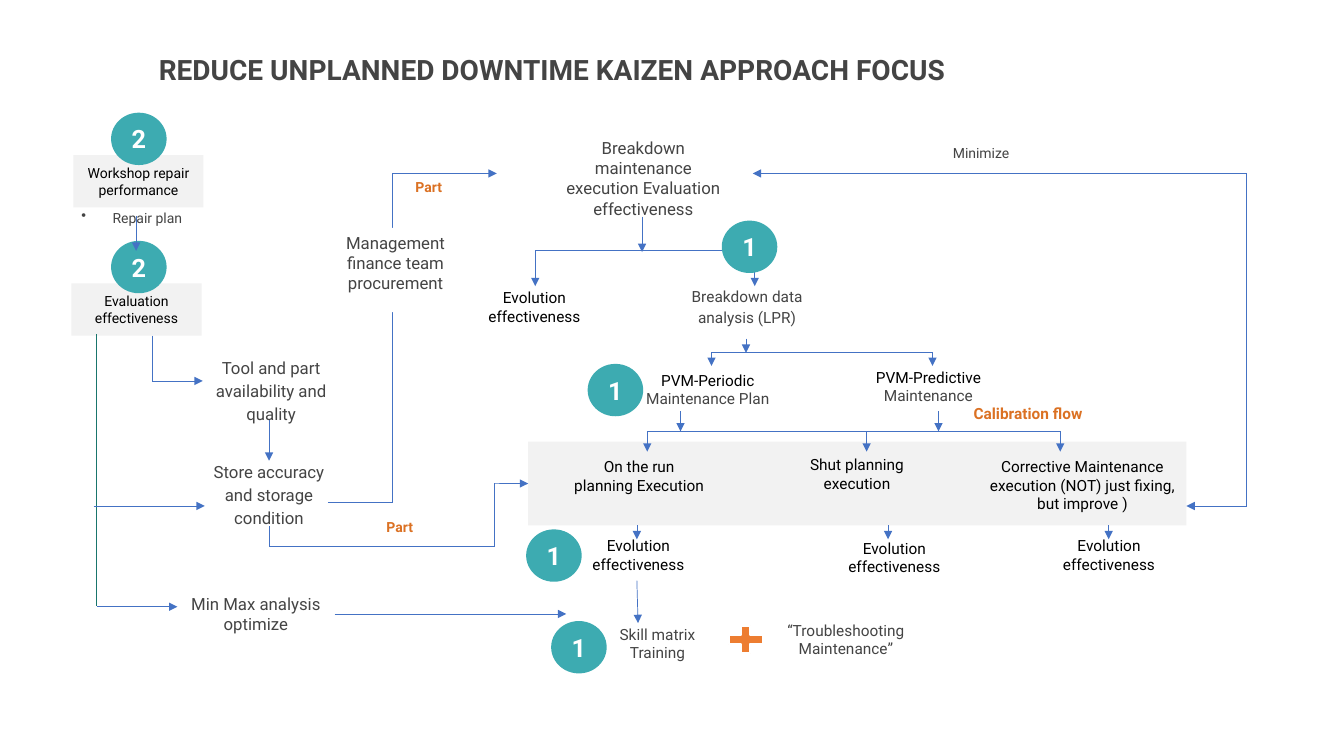
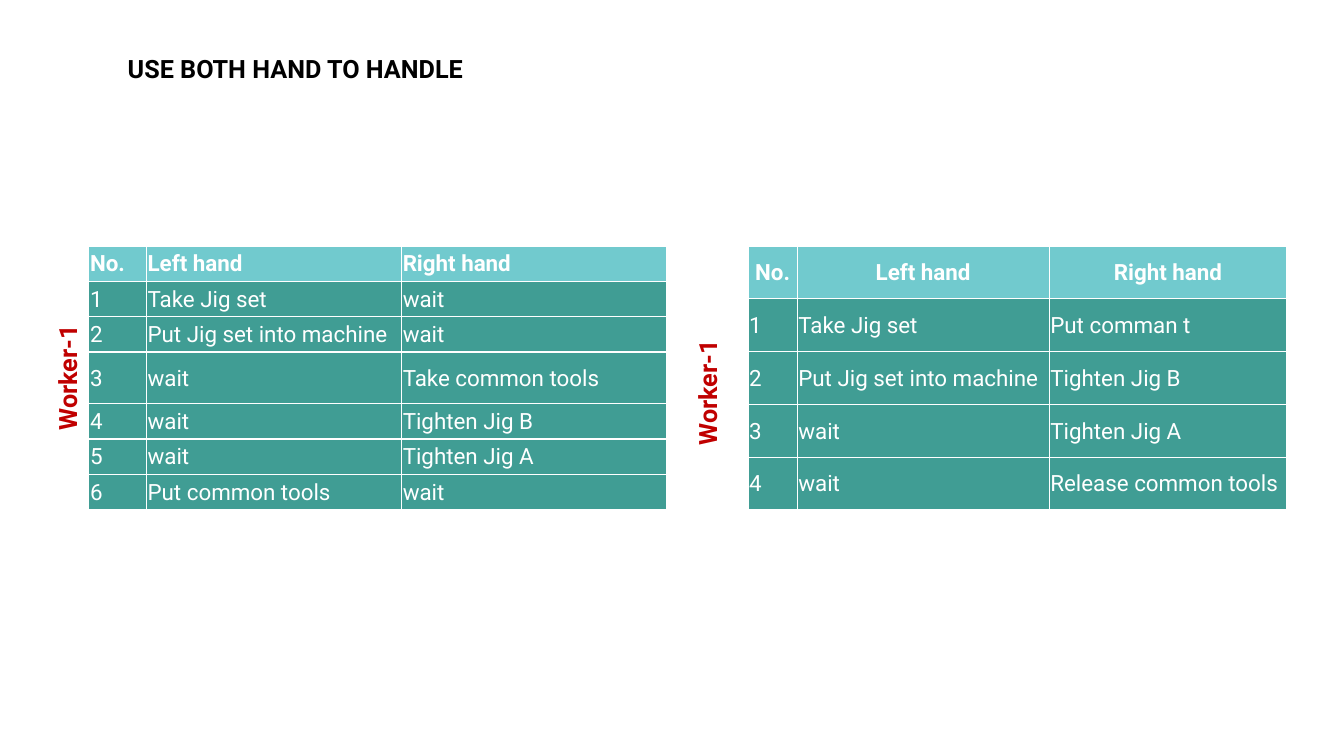
"""Builds two kaizen slides: a downtime flowchart and a two-hand work comparison."""
from lxml.etree import SubElement
from pptx import Presentation
from pptx.dml.color import RGBColor
from pptx.enum.shapes import MSO_CONNECTOR as Connector, MSO_SHAPE as Shape
from pptx.enum.text import MSO_ANCHOR as Anchor, MSO_AUTO_SIZE as AutoSize, PP_ALIGN as Align
from pptx.oxml.ns import qn
from pptx.util import Cm, Pt

FONT = "Roboto"
COLORS = {
    "black": "000000", "grey": "444444", "white": "FFFFFF", "panel": "F2F2F2",
    "badge": "3DABB1", "line": "4472C4", "teal": "19756C", "orange": "DB7123",
    "plus": "ED7D31", "header": "71CACE", "body": "409D94", "red": "C00000",
}


def color(name):
    return RGBColor.from_string(COLORS[name])


def place(box):
    return [Cm(value) for value in box]


def format_text(text_frame, size, colors, bold=False, align=Align.CENTER, spacing=None):
    for index, paragraph in enumerate(text_frame.paragraphs):
        paragraph.alignment = align
        if spacing:
            paragraph.line_spacing = spacing
        for run in paragraph.runs:
            run.font.name = FONT
            run.font.size = Pt(size)
            run.font.bold = bold
            run.font.color.rgb = color(colors[min(index, len(colors) - 1)])


def add_label(slide, text, box, size=11, colors=("black",), **style):
    label = slide.shapes.add_textbox(*place(box))
    label.text_frame.word_wrap = True
    label.text_frame.auto_size = AutoSize.SHAPE_TO_FIT_TEXT
    label.text_frame.text = text
    format_text(label.text_frame, size, colors, **style)
    return label


def add_title(slide, text, box, size, name, **style):
    return add_label(slide, text, box, size, (name,), bold=True, **style)


def add_block(slide, kind, box, fill, text="", size=10, name="black", bold=False):
    block = slide.shapes.add_shape(kind, *place(box))
    block.shadow.inherit = False
    block.fill.solid()
    block.fill.fore_color.rgb = color(fill)
    block.line.fill.background()
    block.text_frame.vertical_anchor = Anchor.MIDDLE
    block.text_frame.text = text
    format_text(block.text_frame, size, (name,), bold)
    return block


def add_badge(slide, number, left, top):
    add_block(slide, Shape.OVAL, (left, top, 1.4, 1.32), "badge", number, 18, "white", True)


def add_route(slide, *points, arrow=True, name="line"):
    for index, (start, end) in enumerate(zip(points, points[1:]), 2):
        connector = slide.shapes.add_connector(Connector.STRAIGHT, *place(start + end))
        connector.line.color.rgb = color(name)
        connector.line.width = Pt(0.5)
        properties = connector.element.spPr
        if arrow and index == len(points):
            SubElement(properties.find(qn("a:ln")), qn("a:tailEnd"), type="triangle")
        SubElement(properties, qn("a:effectLst"))
    return connector


def add_fork(slide, top, columns, tip):
    add_route(slide, (columns[0], top), (columns[-1], top), arrow=False)
    for column in columns:
        add_route(slide, (column, top), (column, tip))


def add_bullet(paragraph, indent):
    properties = paragraph._p.get_or_add_pPr()
    properties.set("marL", str(Cm(indent)))
    properties.set("indent", str(-Cm(indent)))
    SubElement(properties, qn("a:buChar"), char="•")


def add_borders(cell):
    properties = cell._tc.get_or_add_tcPr()
    for side in ("lnL", "lnR", "lnT", "lnB"):
        border = SubElement(properties, qn(f"a:{side}"), w=str(Pt(1)))
        fill = SubElement(border, qn("a:solidFill"))
        SubElement(fill, qn("a:srgbClr"), val=COLORS["white"])


def add_work_table(slide, left, widths, heights, rows, header_align):
    box = (left, 6.2, sum(widths), sum(heights))
    table = slide.shapes.add_table(len(rows), len(widths), *place(box)).table
    table.first_row = table.horz_banding = False
    for column, width in zip(table.columns, widths):
        column.width = Cm(width)
    for index, (row, height, texts) in enumerate(zip(table.rows, heights, rows)):
        row.height = Cm(height)
        is_header = index == 0
        for cell, text in zip(row.cells, texts):
            add_borders(cell)
            cell.fill.solid()
            cell.fill.fore_color.rgb = color("header" if is_header else "body")
            cell.vertical_anchor = Anchor.MIDDLE
            cell.margin_left = cell.margin_right = cell.margin_top = Cm(0.03)
            cell.margin_bottom = 0
            cell.text_frame.text = text
            format_text(cell.text_frame, 16, ("white",), is_header,
                        header_align if is_header else Align.LEFT)


def add_workshop(slide):
    for text, left, top in (("Workshop repair performance", 1.85, 3.91),
                            ("Evaluation effectiveness", 1.8, 7.14)):
        add_block(slide, Shape.RECTANGLE, (left, top, 3.28, 1.32), "panel", text)
        add_badge(slide, "2", 2.8, round(top - 1.07, 2))
    plan = add_label(slide, "Repair plan", (1.8, 5.08, 3.28, 0.71), 10, ("grey",),
                     align=Align.LEFT, spacing=1.15)
    add_bullet(plan.text_frame.paragraphs[0], 0.79)


def add_flow_labels(slide):
    grey = ("grey",)
    for text, box in (
        ("Tool and part availability and quality", (4.98, 8.81, 3.71, 1.96)),
        ("Store accuracy and storage condition", (5.13, 11.43, 3.3, 1.96)),
    ):
        add_label(slide, text, box, 12, grey, spacing=1.15)
    for text, box in (
        ("Breakdown maintenance execution Evaluation effectiveness", (13.79, 3.35, 4.85, 2.31)),
        ("Min Max analysis\noptimize", (3.76, 14.83, 5.38, 1.27)),
    ):
        add_label(slide, text, box, 12, grey)
    management = add_label(slide, "Management finance team procurement",
                           (8.08, 5.74, 3.78, 2.13), 12, grey)
    management.fill.solid()
    management.fill.fore_color.rgb = color("white")
    add_label(slide, "Minimize", (22.63, 3.51, 4.19, 0.69), 10, grey)
    add_label(slide, "Breakdown data analysis (LPR)", (16.94, 7.04, 3.78, 1.3), 11, grey,
              spacing=1.15)
    for text, left, top in (("PVM-Periodic\nMaintenance Plan", 15.95, 9.22),
                            ("PVM-Predictive\nMaintenance", 21.51, 9.14)):
        add_label(slide, text, (left, top, 3.78, 1.19), colors=("black", "grey"))
    for text, left, top in (("Skill matrix\nTraining", 14.27, 15.62),
                            ("“Troubleshooting\nMaintenance”", 19.02, 15.52)):
        add_label(slide, text, (left, top, 4.6, 1.19), colors=grey)
    for left, top in ((11.58, 7.14), (14.2, 13.39), (20.65, 13.46), (26.06, 13.39)):
        add_label(slide, "Evolution effectiveness", (left, top, 3.78, 1.19))
    for text, box in (
        ("On the run planning Execution", (14.22, 11.4, 3.78, 1.19)),
        ("Shut planning execution", (19.71, 11.35, 3.78, 1.19)),
        ("Corrective Maintenance execution (NOT) just fixing, but improve )",
         (24.64, 11.4, 5.28, 1.68)),
    ):
        add_label(slide, text, box)
    for text, box, size in (
        ("Part", (9.14, 4.37, 3.33, 0.84), 10),
        ("Part", (8.41, 12.93, 3.33, 0.84), 10),
        ("Calibration flow", (23.27, 10.06, 5.28, 0.74), 11),
    ):
        add_label(slide, text, box, size, ("orange",), bold=True)


def add_flow_arrows(slide, execution_panel):
    for points in (
        ((31.42, 12.75), (31.42, 4.37), (18.97, 4.37)),
        ((31.42, 12.75), (29.9, 12.75)),
        ((3.84, 8.46), (3.84, 9.6), (5.11, 9.6)),
        ((2.36, 12.75), (5.16, 12.75)),
        ((2.44, 15.29), (4.47, 15.29)),
        ((3.43, 5.44), (3.43, 6.32)),
        ((6.78, 10.59), (6.78, 11.61)),
        ((16.18, 5.46), (16.18, 6.35)),
        ((18.8, 8.53), (18.8, 8.89)),
        ((17.15, 10.36), (17.15, 10.87)),
        ((23.65, 10.36), (23.65, 10.87)),
        ((16.05, 14.63), (16.08, 15.7)),
        ((8.43, 15.47), (14.27, 15.47)),
    ):
        add_route(slide, *points)
    for column in (16.05, 22.38, 27.94):
        add_route(slide, (column, 13.24), (column, 13.59))
    for top, columns, tip in ((6.32, (13.49, 19.02), 7.21),
                              (8.89, (17.93, 23.5), 9.22),
                              (10.87, (16.31, 21.84, 26.72), 11.38)):
        add_fork(slide, top, columns, tip)
    part_arrow = add_route(slide, (6.78, 13.26), (6.78, 13.77), (12.47, 13.77),
                           (12.47, 12.18), (13.31, 12.18))
    part_arrow.end_connect(execution_panel, 1)


def build_flow_slide(slide):
    add_title(slide, "REDUCE UNPLANNED DOWNTIME KAIZEN APPROACH FOCUS",
              (1.47, 1.07, 24.89, 1.14), 20, "grey", spacing=1.15)
    add_workshop(slide)
    panel = add_block(slide, Shape.RECTANGLE, (13.31, 11.13, 16.59, 2.11), "panel")
    add_route(slide, (2.44, 8.41), (2.44, 15.27), arrow=False, name="teal")
    add_route(slide, (8.26, 12.67), (9.88, 12.67), (9.88, 4.37), (12.52, 4.37))
    add_flow_labels(slide)
    add_flow_arrows(slide, panel)
    plus = add_block(slide, Shape.MATH_PLUS, (18.21, 15.65, 1.17, 0.94), "plus")
    plus.line.color.rgb = color("white")
    plus.line.width = Pt(1.5)
    for left, top in ((18.19, 5.56), (14.81, 9.17), (13.26, 13.34), (13.89, 15.65)):
        add_badge(slide, "1", left, top)


def build_hands_slide(slide):
    add_title(slide, "USE BOTH HAND TO HANDLE", (2.97, 1.22, 10.97, 1.02), 18, "black",
              align=Align.LEFT)
    header = ("No.", "Left hand", "Right hand")
    before = (header, ("1", "Take Jig set", "wait"), ("2", "Put Jig set into machine", "wait"),
              ("3", "wait", "Take common tools"), ("4", "wait", "Tighten Jig B"),
              ("5", "wait", "Tighten Jig A"), ("6", "Put common tools", "wait"))
    after = (header, ("1", "Take Jig set", "Put comman t"),
             ("2", "Put Jig set into machine", "Tighten Jig B"),
             ("3", "wait", "Tighten Jig A"), ("4", "wait", "Release common tools"))
    add_work_table(slide, 2.24, (1.45, 6.43, 6.68), [0.89] * 3 + [1.3] + [0.89] * 3,
                   before, Align.LEFT)
    add_work_table(slide, 18.85, (1.24, 6.35, 5.99), [1.33] * 5, after, Align.CENTER)
    for left, top in ((-0.25, 8.64), (15.88, 9.02)):
        worker = add_title(slide, "Worker-1", (left, top, 3.89, 1.02), 18, "red",
                           align=Align.LEFT)
        worker.rotation = 270


def main():
    presentation = Presentation()
    presentation.slide_width = Cm(33.87)
    presentation.slide_height = Cm(19.05)
    for build in (build_flow_slide, build_hands_slide):
        build(presentation.slides.add_slide(presentation.slide_layouts[6]))
    presentation.save("out.pptx")


if __name__ == "__main__":
    main()
